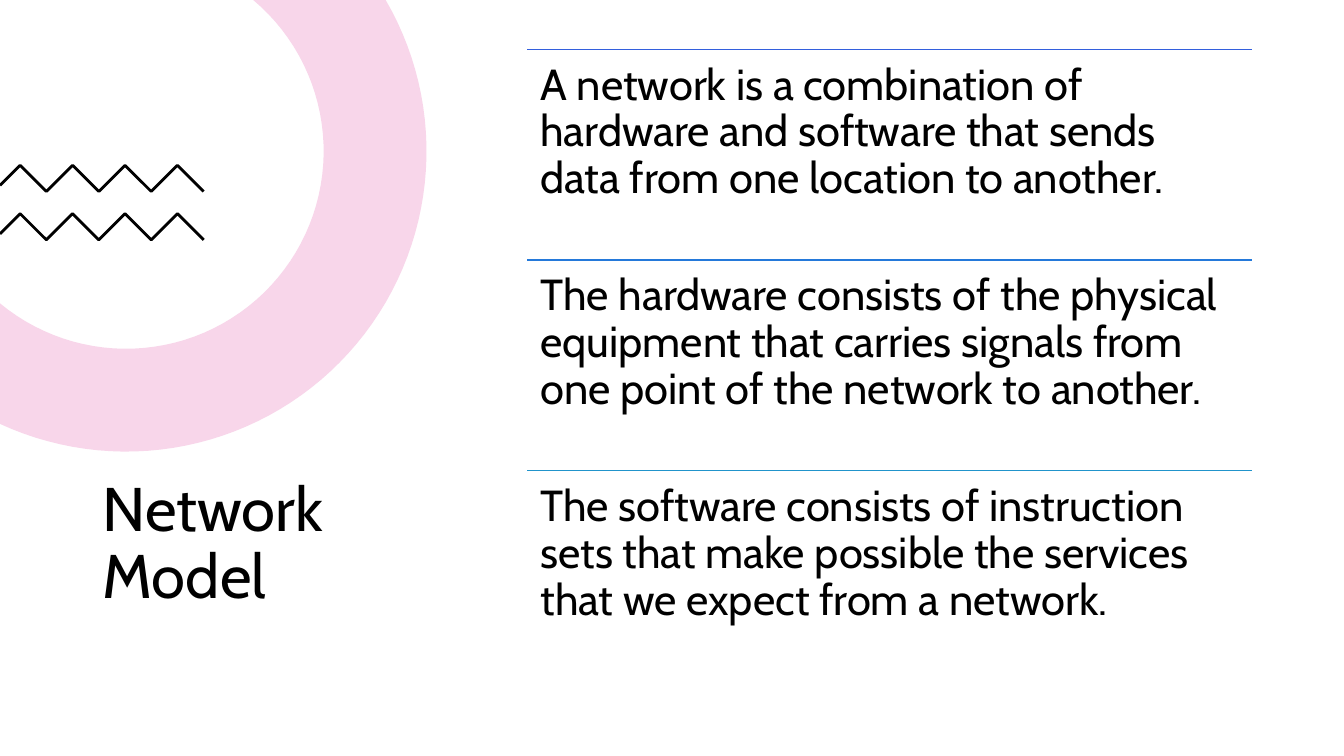
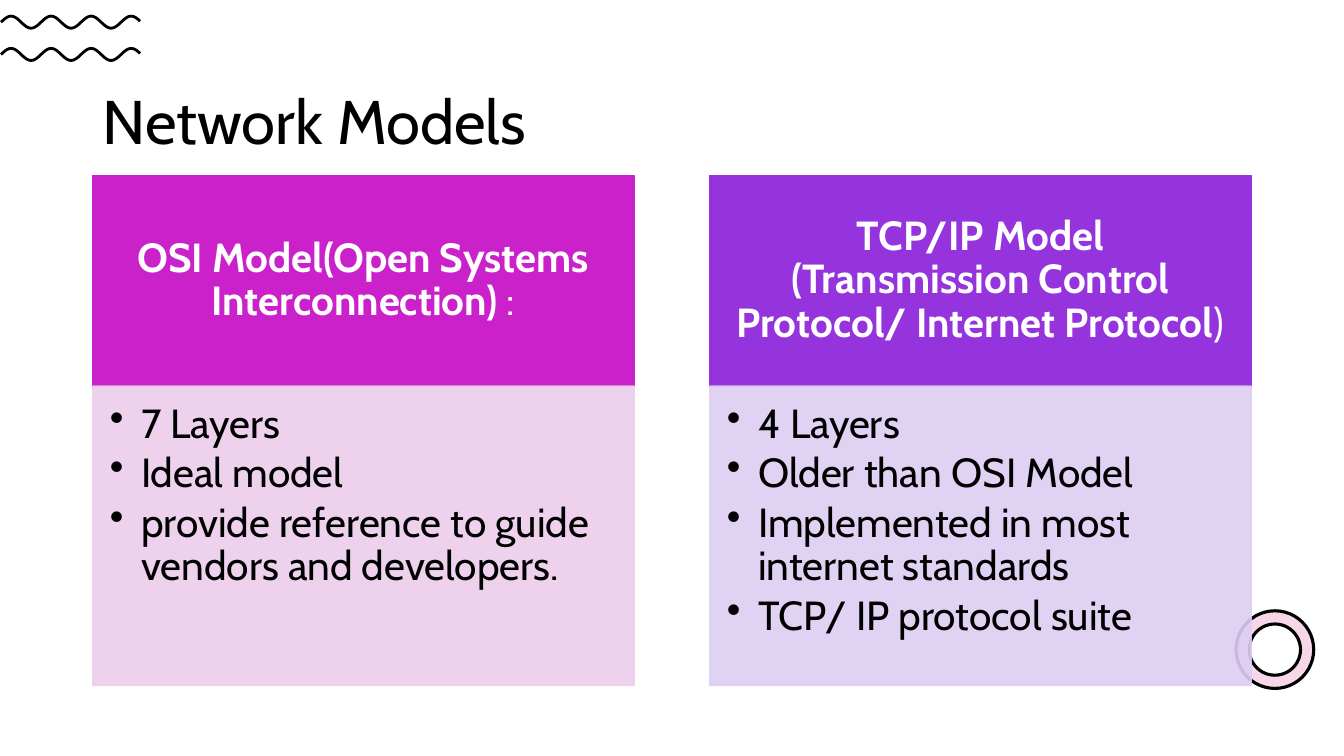
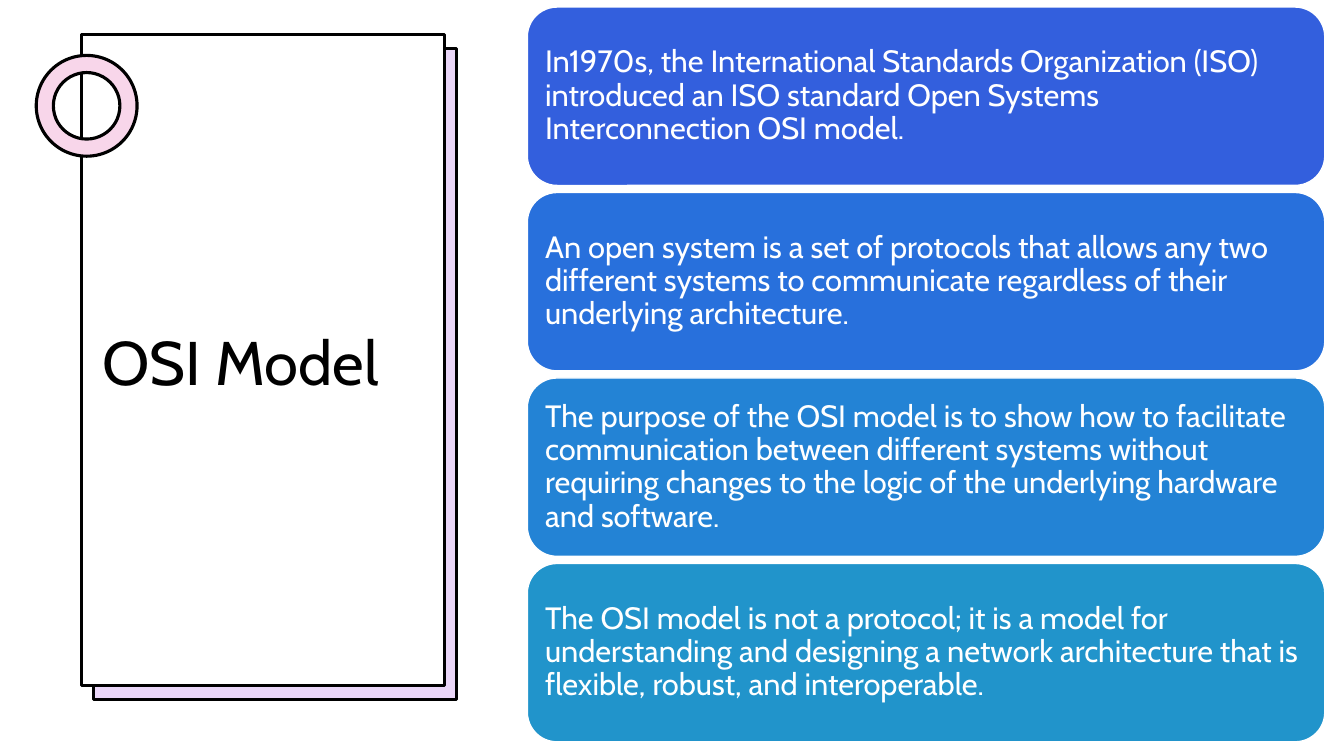
from math import acos, asin, cos, pi, sin

from lxml import etree
from pptx import Presentation
from pptx.dml.color import RGBColor
from pptx.enum.shapes import MSO_CONNECTOR, MSO_SHAPE
from pptx.enum.text import MSO_ANCHOR, PP_ALIGN
from pptx.oxml.ns import qn
from pptx.util import Pt

PX = 9144  # one px is a hundredth of an inch
FONT = "Cabin"
COLORS = {
    "ink": "000000", "paper": "FFFFFF", "pink": "F8D6EA", "lilac": "EAD6F8",
    "magenta": "CA21CB", "magenta_tint": "ECCDEC",
    "violet": "9533DD", "violet_tint": "DDCEF2",
    "indigo": "335FDD", "royal": "2870DC", "azure": "2479DA",
    "sky": "2383D5", "teal": "2194CB",
}


def add_box(page, kind, place, fill, line, weight=1.0, opacity=100):
    box = page.shapes.add_shape(kind, *[value * PX for value in place])
    box.shadow.inherit = False
    box.fill.solid()
    box.fill.fore_color.rgb = RGBColor.from_string(COLORS[fill])
    box.line.color.rgb = RGBColor.from_string(COLORS[line])
    box.line.width = Pt(weight)
    if opacity < 100:
        for color in box.fill._xPr.iter(qn("a:srgbClr")):
            etree.SubElement(color, qn("a:alpha"), val=str(opacity * 1000))
    return box


def write_text(box, paragraphs, size, color, insets=(10, 5, 10, 5),
               anchor=MSO_ANCHOR.MIDDLE, align=PP_ALIGN.LEFT, bullet=False):
    """Each paragraph is a list of (text, bold) runs."""
    frame = box.text_frame
    frame.word_wrap = True
    frame.vertical_anchor = anchor
    (frame.margin_left, frame.margin_top,
     frame.margin_right, frame.margin_bottom) = [value * PX for value in insets]
    for index, runs in enumerate(paragraphs):
        para = frame.add_paragraph() if index else frame.paragraphs[0]
        para.alignment = align
        para.line_spacing = 0.9
        if bullet:
            para.space_after = Pt(4)
            properties = para._p.get_or_add_pPr()
            properties.set("marL", str(31 * PX))
            properties.set("indent", str(-31 * PX))
            etree.SubElement(properties, qn("a:buChar"), char="•")
        for text, bold in runs:
            span = para.add_run()
            span.text = text
            span.font.name = FONT
            span.font.size = Pt(size)
            span.font.bold = bold
            span.font.color.rgb = RGBColor.from_string(COLORS[color])


deck = Presentation()
deck.slide_width, deck.slide_height = 1333 * PX, 750 * PX
definition, models, osi = [deck.slides.add_slide(deck.slide_layouts[6]) for _ in range(3)]

# Big ring, cut by the top and left edges of the slide
center_x, center_y, outer, inner, steps = 125, 150, 298, 196, 60
ring = []
for radius in (outer, inner):
    start, end = -asin(center_y / radius), pi - acos(center_x / radius)
    arc = []
    for step in range(steps + 1):
        angle = start + (end - start) * step / steps
        arc.append((center_x + radius * cos(angle), center_y + radius * sin(angle)))
    ring += arc if radius == outer else arc[::-1]

# Zigzags and waves, two of each
outlines = [(definition, ring, True)]
for top in (164, 212):
    zigzag = [(0, top + 20)] + [(20 + 26 * k, top + 26 * (k % 2)) for k in range(8)]
    outlines.append((definition, zigzag, False))
for middle in (22, 54):
    wave = [(x, middle - 6 * cos(2 * pi * (x - 11) / 39.7)) for x in range(1, 141, 2)]
    outlines.append((models, wave, False))

for page, points, closed in outlines:
    corners = [(x * PX, y * PX) for x, y in points]
    builder = page.shapes.build_freeform(*corners[0], scale=1.0)
    builder.add_line_segments(corners[1:], close=closed)
    outline = builder.convert_to_shape()
    outline.shadow.inherit = False
    if closed:
        outline.fill.solid()
        outline.fill.fore_color.rgb = RGBColor.from_string(COLORS["pink"])
        outline.line.fill.background()
    else:
        outline.fill.background()
        outline.line.color.rgb = RGBColor.from_string(COLORS["ink"])
        outline.line.width = Pt(2)

# Cards behind the last title
add_box(osi, MSO_SHAPE.RECTANGLE, (93, 48, 360, 646), "lilac", "ink", 2.25)
add_box(osi, MSO_SHAPE.RECTANGLE, (81, 34, 360, 646), "paper", "ink", 2.25)

# Small rings
for page, place in ((models, (1226, 606, 77, 77)), (osi, (36, 55, 100, 100))):
    small_ring = add_box(page, MSO_SHAPE.DONUT, place, "pink", "ink", 2.25)
    small_ring.adjustments[0] = 0.17

# Definition: three ruled statements
statements = [
    ("azure", "The hardware consists of the physical equipment that carries signals from "
              "one point of the network to another."),
    ("teal", "The software consists of instruction sets that make possible the services "
             "that we expect from a network."),
]
statements.insert(0, ("indigo", "A network is a combination of hardware and software that "
                                "sends data from one location to another."))
for row, (color, text) in enumerate(statements):
    left, top, width, height = 523, 49 + 209 * row, 719, 209
    rule = definition.shapes.add_connector(
        MSO_CONNECTOR.STRAIGHT, left * PX, top * PX, (left + width) * PX, top * PX)
    rule.line.color.rgb = RGBColor.from_string(COLORS[color])
    rule.line.width = Pt(1)
    etree.SubElement(rule._element.spPr, qn("a:effectLst"))
    box = definition.shapes.add_textbox(left * PX, top * PX, width * PX, height * PX)
    write_text(box, [[(text, False)]], 31, "ink", (13, 13, 13, 13), MSO_ANCHOR.TOP)

# Models: two columns, each a heading over a list
columns = [
    ("magenta", [("OSI Model(Open Systems Interconnection) ", True), (":", False)],
     ["7 Layers", "Ideal model", "provide reference to guide vendors and developers."]),
    ("violet", [("TCP/IP Model (Transmission Control Protocol/ Internet Protocol", True),
                (")", False)],
     ["4 Layers", "Older than OSI Model", "Implemented in most internet standards",
      "TCP/ IP protocol suite"]),
]
for column, (color, heading, points) in enumerate(columns):
    left, tint = 92 + 612 * column, color + "_tint"
    header = add_box(models, MSO_SHAPE.RECTANGLE, (left, 174, 537, 209), color, color)
    write_text(header, [heading], 29, "paper", (23, 13, 23, 13), align=PP_ALIGN.CENTER)
    panel = add_box(models, MSO_SHAPE.RECTANGLE, (left, 383, 537, 297), tint, tint, opacity=90)
    write_text(panel, [[(point, False)] for point in points], 29, "ink",
               (17, 17, 23, 25), MSO_ANCHOR.TOP, bullet=True)

# OSI model: four stacked facts
facts = [
    ("indigo", "In1970s, the International Standards Organization (ISO) introduced an ISO "
               "standard Open Systems Interconnection OSI model."),
    ("royal", "An open system is a set of protocols that allows any two different systems to "
              "communicate regardless of their underlying architecture."),
    ("sky", "The purpose of the OSI model is to show how to facilitate communication between "
            "different systems without requiring changes to the logic of the underlying "
            "hardware and software."),
    ("teal", "The OSI model is not a protocol; it is a model for understanding and designing a "
             "network architecture that is flexible, robust, and interoperable."),
]
for row, (color, text) in enumerate(facts):
    place = (523, 7 + 184 * row, 791, 177)
    fact = add_box(osi, MSO_SHAPE.ROUNDED_RECTANGLE, place, color, "paper")
    write_text(fact, [[(text, False)]], 22, "paper", (9, 9, 9, 9))

# Titles
titles = [
    (definition, (92, 405, 350, 271), "Network Model"),
    (models, (92, 62, 1150, 123), "Network Models"),
    (osi, (92, 131, 340, 463), "OSI Model"),
]
for page, place, text in titles:
    title = page.shapes.add_textbox(*[value * PX for value in place])
    write_text(title, [[(text, False)]], 44, "ink")

deck.save("out.pptx")
